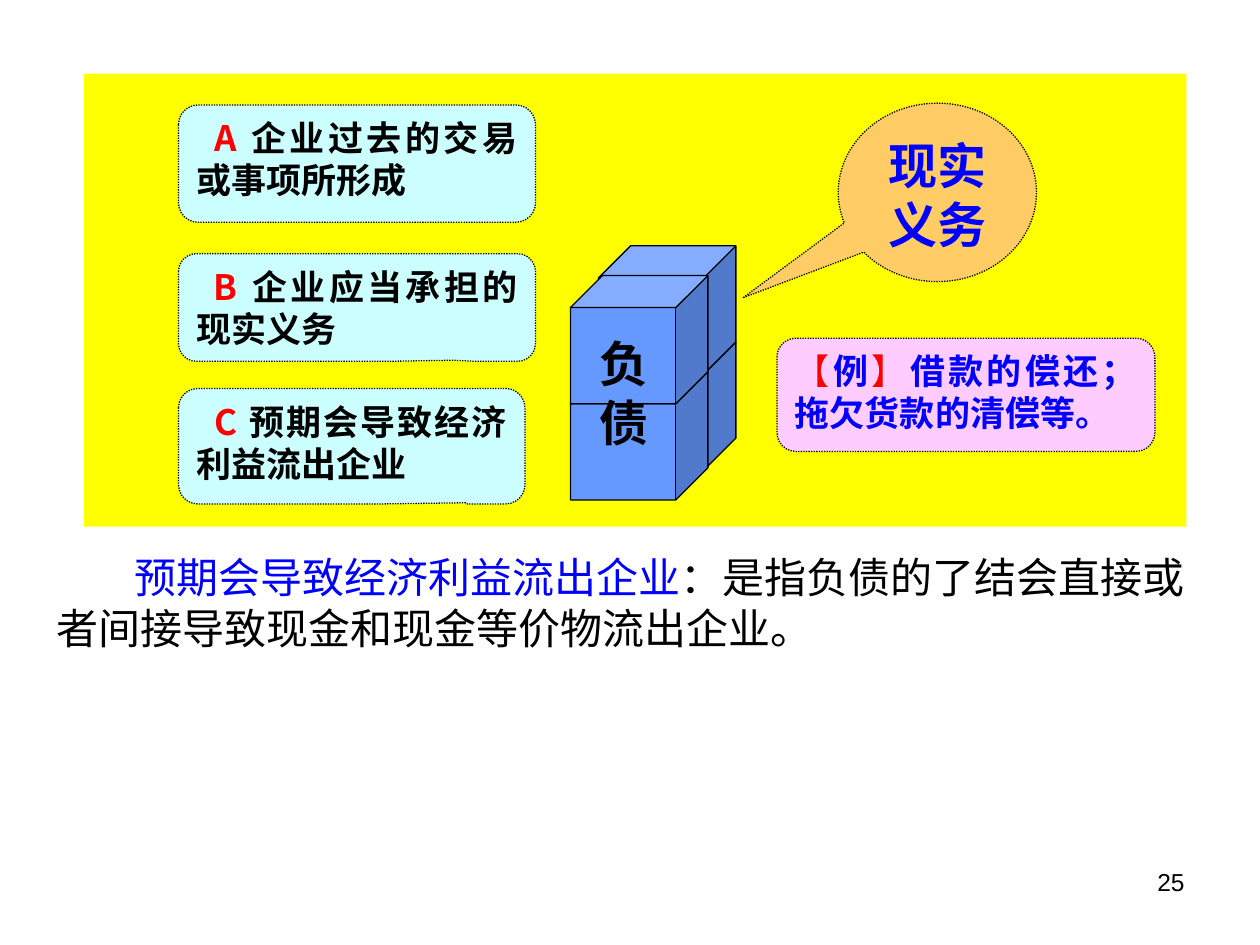
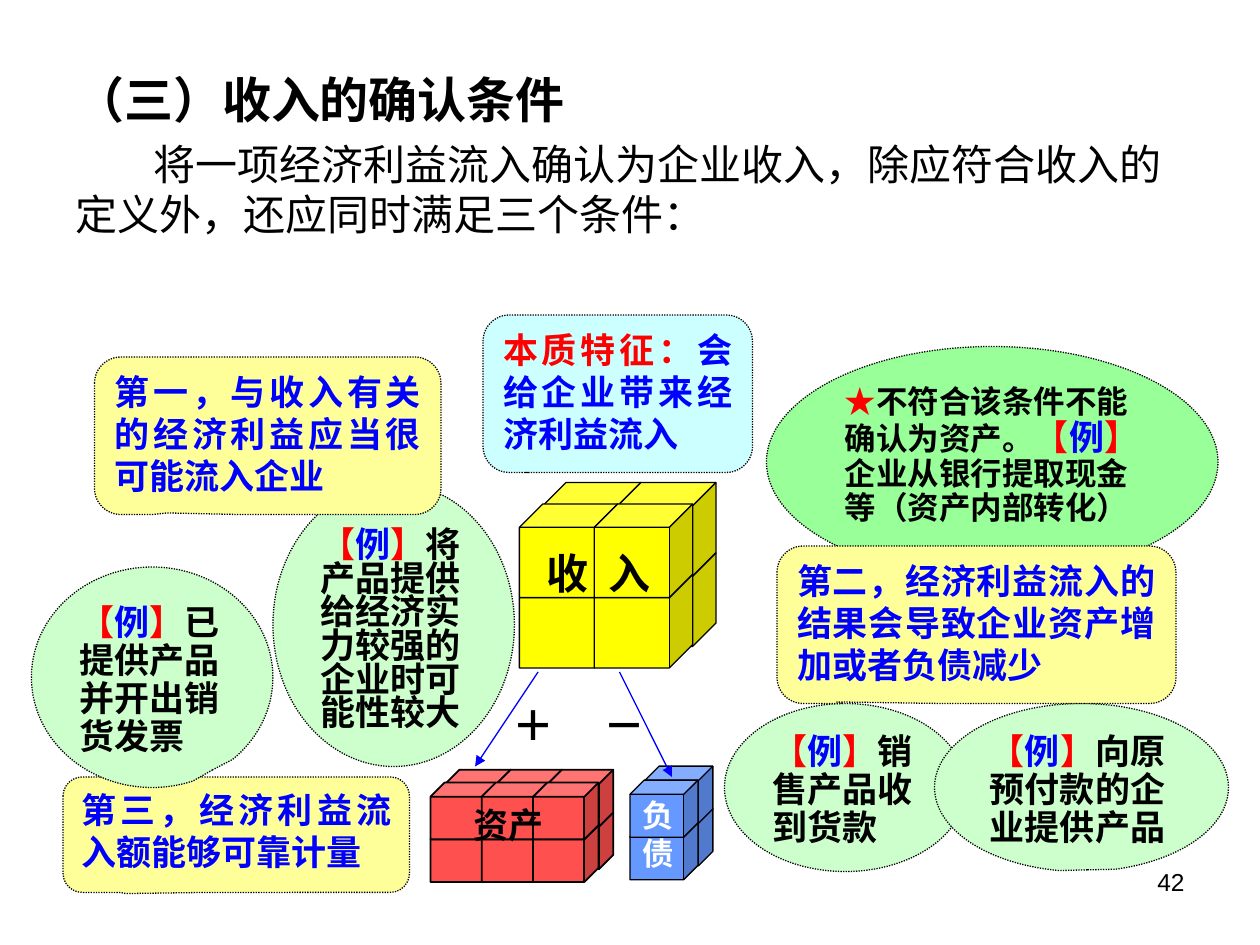
from dataclasses import dataclass
from typing import Optional

from lxml.etree import SubElement
from pptx import Presentation
from pptx.dml.color import RGBColor
from pptx.enum.dml import MSO_LINE
from pptx.enum.shapes import MSO_CONNECTOR, MSO_SHAPE
from pptx.enum.text import MSO_ANCHOR, PP_ALIGN
from pptx.oxml.ns import qn
from pptx.util import Pt

# Shared look
BLACK, WHITE, RED, BLUE = "000000", "FFFFFF", "FF0000", "0000FF"
YELLOW, CYAN, PINK, ORANGE = "FFFF00", "CCFFFF", "FFCCFF", "FFCC66"
CREAM, MINT, GREEN = "FFFF99", "CCFFCC", "99FF99"
CUBE_BLUE, CUBE_RED = "6699FF", "FF5050"
CJK, ARIAL, TIMES = "Noto Sans CJK SC", "Arial", "Times New Roman"
ROUND, OVAL = MSO_SHAPE.ROUNDED_RECTANGULAR_CALLOUT, MSO_SHAPE.OVAL_CALLOUT
LEFT, CENTER, RIGHT, JUSTIFY = (
    PP_ALIGN.LEFT, PP_ALIGN.CENTER, PP_ALIGN.RIGHT, PP_ALIGN.JUSTIFY)


@dataclass
class Run:
    text: str
    color: str = BLACK
    size: float = 20
    bold: bool = True
    font: str = CJK
    spacing: float = 0


@dataclass
class Para:
    runs: list[Run]
    align: PP_ALIGN = LEFT
    indent: float = 0
    before: float = 0
    line_spacing: Optional[float] = None


@dataclass
class Box:
    left: float
    top: float
    width: float
    height: float
    paras: list[Para]


@dataclass
class Callout(Box):
    kind: MSO_SHAPE
    fill: str
    tip: tuple[float, float]


@dataclass
class CubeStack:
    left: float
    top: float
    width: float
    height: float
    cols: int
    col_step: float
    row_step: float
    depth: tuple[float, float]
    fill: str
    line: float = 0.75


def rgb(value: str) -> RGBColor:
    return RGBColor.from_string(value)


def add_paras(tf, paras: list[Para]) -> None:
    tf.word_wrap = True
    tf.vertical_anchor = MSO_ANCHOR.TOP
    for i, para in enumerate(paras):
        p = tf.add_paragraph() if i else tf.paragraphs[0]
        formats = {"alignment": para.align, "space_before": Pt(para.before),
                   "line_spacing": para.line_spacing}
        for name, value in formats.items():
            setattr(p, name, value)
        if para.indent:
            p._p.get_or_add_pPr().set("indent", str(Pt(para.indent)))
        for run in para.runs:
            r = p.add_run()
            r.text = run.text
            formats = {"name": run.font, "size": Pt(run.size), "bold": run.bold}
            for name, value in formats.items():
                setattr(r.font, name, value)
            r.font.color.rgb = rgb(run.color)
            rpr = r._r.get_or_add_rPr()
            SubElement(rpr, qn("a:ea")).set("typeface", CJK)
            if run.spacing:
                rpr.set("spc", str(round(run.spacing * 100)))


def add_text(s, box: Box) -> None:
    sp = s.shapes.add_textbox(*map(Pt, (box.left, box.top, box.width, box.height)))
    add_paras(sp.text_frame, box.paras)


def add_filled(s, kind: MSO_SHAPE, bounds: tuple, fill: str, line: float = 0):
    sp = s.shapes.add_shape(kind, *map(Pt, bounds))
    sp.shadow.inherit = False
    sp.fill.solid()
    sp.fill.fore_color.rgb = rgb(fill)
    if line:
        sp.line.color.rgb = rgb(BLACK)
        sp.line.width = Pt(line)
    else:
        sp.line.fill.background()
    return sp


def add_callout(s, c: Callout) -> None:
    sp = add_filled(s, c.kind, (c.left, c.top, c.width, c.height), c.fill, 0.75)
    sp.line.dash_style = MSO_LINE.ROUND_DOT
    sp.adjustments[0], sp.adjustments[1] = c.tip
    add_paras(sp.text_frame, c.paras)


def add_cubes(s, c: CubeStack) -> None:
    """Column by column: the back layer first, the lower cube before the upper."""
    for col in range(c.cols):
        for layer in (1, 0):
            for row in (1, 0):
                x = c.left + col * c.col_step + layer * c.depth[0]
                y = c.top + row * c.row_step - layer * c.depth[1]
                add_filled(s, MSO_SHAPE.CUBE, (x, y, c.width, c.height), c.fill, c.line)


def add_arrow(s, start: tuple[float, float], end: tuple[float, float]) -> None:
    cn = s.shapes.add_connector(MSO_CONNECTOR.STRAIGHT, *map(Pt, start + end))
    cn.line.color.rgb = rgb(BLUE)
    cn.line.width = Pt(0.75)
    SubElement(cn.line._get_or_add_ln(), qn("a:tailEnd")).set("type", "triangle")
    SubElement(cn._element.spPr, qn("a:effectLst"))


def add_number(s, number: int) -> None:
    run = Run(str(number), size=14, bold=False, font=ARIAL)
    add_text(s, Box(516, 492, 168, 37.5, [Para([run], RIGHT)]))


def label(text: str, size: float, color: str = BLACK, font: str = TIMES) -> list[Para]:
    return [Para([Run(text, color, size, font=font)], CENTER)]


def body(*runs: Run, before: float = 0) -> Para:
    for run in runs:
        run.size, run.bold = 24, False
    return Para(list(runs), indent=44.5, before=before)


def example_tag(font: str = ARIAL, bold: bool = True) -> list[Run]:
    return [Run("【", RED, font=font, bold=bold), Run("例", BLUE, font=font),
            Run("】", RED, font=font, bold=bold)]


def feature(letter: str, text: str) -> list[Para]:
    return [Para([Run(letter + " ", RED), Run(text)], JUSTIFY, indent=10)]


def condition(text: str) -> list[Para]:
    return [Para([Run(text, BLUE)], JUSTIFY)]


def example(text: str, line_spacing: float = 0.9) -> list[Para]:
    return [Para(example_tag() + [Run(text)], line_spacing=line_spacing)]


def build_liability(s) -> None:
    add_text(s, Box(25.2, 311.8, 669, 126, [body(
        Run("预期会导致经济利益流出企业", BLUE),
        Run("：是指负债的了结会直接或者间接导致现金和现金等价物流出企业。"))]))
    add_filled(s, MSO_SHAPE.RECTANGLE, (48, 42, 630, 259), YELLOW)

    # Three features and the present obligation
    callouts = [
        Callout(102, 60, 204, 67, feature("A", "企业过去的交易或事项所形成"),
                ROUND, CYAN, (0.32, 0.5)),
        Callout(102, 222, 198, 66, feature("C", "预期会导致经济利益流出企业"),
                ROUND, CYAN, (0.33, 0.49)),
        Callout(479, 59, 113.3, 102, label("现实义务", 28, BLUE),
                OVAL, ORANGE, (-0.98, 0.59)),
        Callout(444, 193.3, 216, 64.7,
                [Para(example_tag(CJK, False) + [Run("借款的偿还；拖欠货款的清偿等。", BLUE)],
                      JUSTIFY)],
                ROUND, PINK, (0.24, 0.5)),
        Callout(102, 145, 204, 61.5, feature("B", "企业应当承担的现实义务"),
                ROUND, CYAN, (0.27, 0.49)),
    ]
    for callout in callouts:
        add_callout(s, callout)

    # Liability block
    add_cubes(s, CubeStack(326, 157.5, 78.5, 73.2, 1, 0, 55, (16, 17), CUBE_BLUE))
    add_text(s, Box(328.3, 187.2, 57, 79.2, label("负债", 28)))
    add_number(s, 25)


def build_income(s) -> None:
    add_text(s, Box(36, 36, 648, 174, [
        Para([Run("（三）收入的确认条件", size=28)]),
        body(Run("将一项经济利益流入确认为企业收入，除应符合收入的定义外，还应同时满足三个条件："),
             before=6)]))

    # Income block
    add_cubes(s, CubeStack(296.8, 288, 56.2, 53.4, 2, 42.8, 40.3, (13.3, 12.3), YELLOW))
    add_text(s, Box(293.8, 295.2, 96.5, 67, [Para(
        [Run("收", size=24, font=TIMES, spacing=11.5), Run("入", size=24, font=TIMES)],
        CENTER, line_spacing=1.5)]))
    add_callout(s, Callout(36, 444, 198, 66, condition("第三，经济利益流入额能够可靠计量"),
                           ROUND, CREAM, (-0.32, 0.51)))

    # Assets rise, liabilities fall
    add_cubes(s, CubeStack(246, 447.2, 37.4, 32.4, 3, 29.3, 24.4, (8.5, 7.4), CUBE_RED, 1))
    add_text(s, Box(256.3, 455.8, 69, 40.3, label("资产", 20)))
    add_cubes(s, CubeStack(360, 445.8, 38.9, 32.6, 1, 0, 24.3, (8.5, 8), CUBE_BLUE))
    add_text(s, Box(360, 451.4, 28, 35.3, label("负债", 18, WHITE)))
    for sign, left in (("＋", 278), ("－", 330)):
        add_text(s, Box(left, 396, 54, 30, label(sign, 24, font=ARIAL)))
    add_arrow(s, (307.5, 384), (271.5, 438))
    add_arrow(s, (354, 384), (384, 444))

    # Conditions and their examples
    essence = [Para([Run("本质特征：", RED), Run("会给企业带来经济利益流入", BLUE)], JUSTIFY)]
    exclusion = [Para(
        [Run("★", RED, 18), Run("不符合该条件不能确认为资产。", size=18), *example_tag(),
         Run("企业从银行提取现金等（资产内部转化）", size=18)], line_spacing=0.9)]
    callouts = [
        Callout(438, 198, 258, 132, exclusion, OVAL, GREEN, (0.03, 0.49)),
        Callout(276, 180, 154, 90, essence, ROUND, CYAN, (-0.34, 0.5)),
        Callout(156, 276, 138, 162, example("将产品提供给经济实力较强的企业时可能性较大", 0.8),
                OVAL, MINT, (0.11, -0.48)),
        Callout(414, 402, 138, 96, example("销售产品收到货款"), OVAL, MINT, (0.47, 0.13)),
        Callout(18, 324, 138, 126, example("已提供产品并开出销货发票"),
                OVAL, MINT, (0.25, 0.42)),
        Callout(534, 402, 168, 96, example("向原预付款的企业提供产品"),
                OVAL, MINT, (0.02, 0.49)),
        Callout(54, 204, 198, 90, condition("第一，与收入有关的经济利益应当很可能流入企业"),
                ROUND, CREAM, (-0.29, 0.49)),
        Callout(444, 312, 228, 90, condition("第二，经济利益流入的结果会导致企业资产增加或者负债减少"),
                ROUND, CREAM, (-0.35, 0.49)),
    ]
    for callout in callouts:
        add_callout(s, callout)
    add_number(s, 42)


def main() -> None:
    prs = Presentation()
    prs.slide_width, prs.slide_height = Pt(720), Pt(540)
    for build in (build_liability, build_income):
        build(prs.slides.add_slide(prs.slide_layouts[6]))
    prs.save("out.pptx")


if __name__ == "__main__":
    main()
